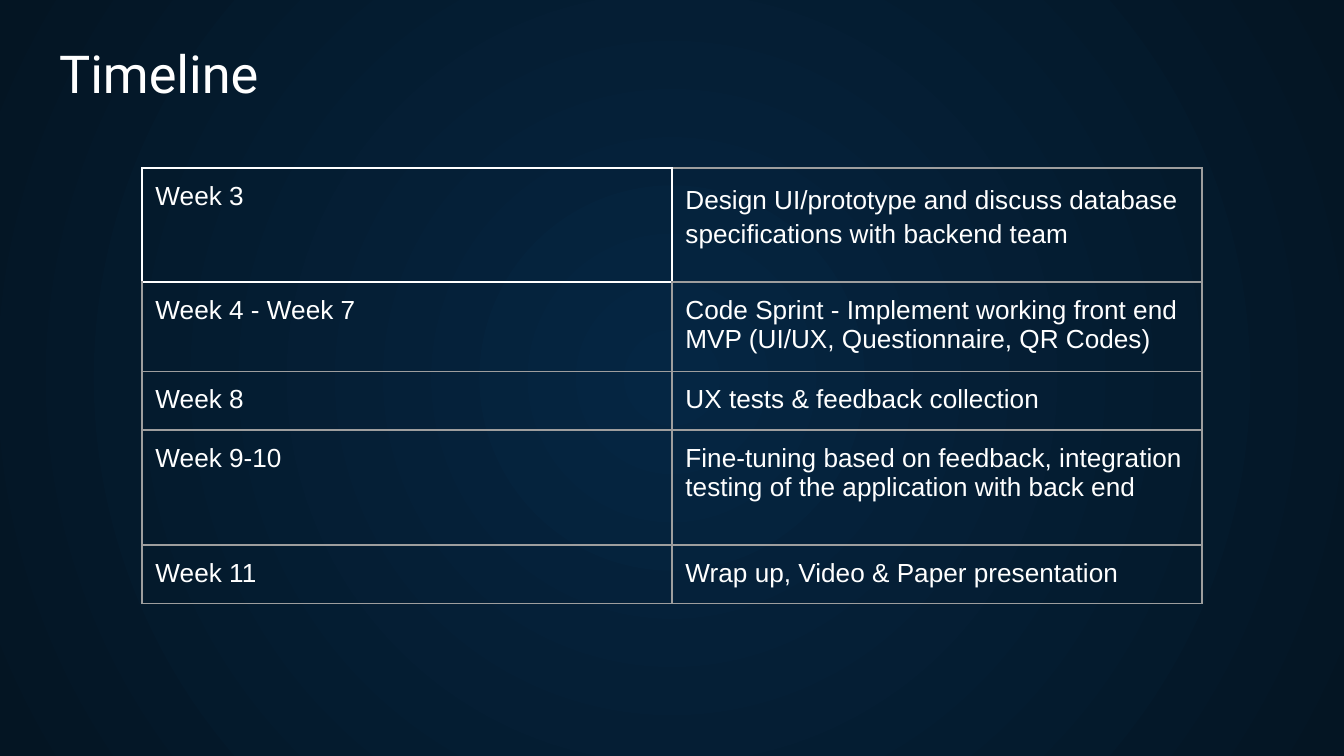
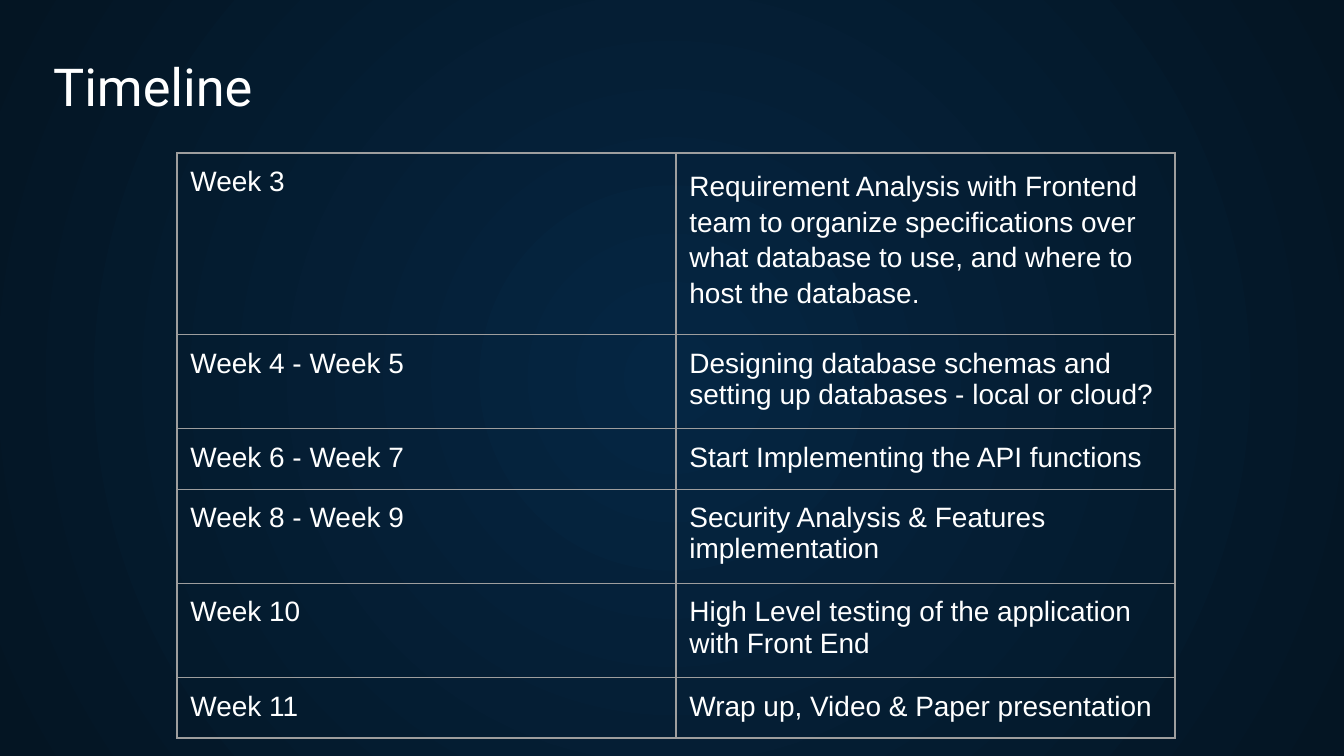
from lxml import etree
from pptx import Presentation
from pptx.dml.color import RGBColor
from pptx.enum.text import MSO_ANCHOR
from pptx.oxml.ns import qn
from pptx.util import Emu, Pt

PX = 914400 / 134.4  # EMU in one px
WHITE = RGBColor(0xFF, 0xFF, 0xFF)
GREY = RGBColor(0x9E, 0x9E, 0x9E)
NAVY = RGBColor(0x05, 0x26, 0x43)
MIDNIGHT = RGBColor(0x04, 0x15, 0x23)

# Each slide: title corner, table corner, column width, text size, first cell's
# border, and rows of (height, weeks, task)
SLIDES = [
    dict(title_at=(46, 28), table_at=(142, 168), column=530, size=14, corner=WHITE, rows=[
        (114, "Week 3", "Design UI/prototype and discuss database specifications with backend team"),
        (86, "Week 4 - Week 7",
         "Code Sprint - Implement working front end MVP (UI/UX, Questionnaire, QR Codes)"),
        (56, "Week 8", "UX tests & feedback collection"),
        (115, "Week 9-10",
         "Fine-tuning based on feedback, integration testing of the application with back end"),
        (56, "Week 11", "Wrap up, Video & Paper presentation"),
    ]),
    dict(title_at=(40, 41), table_at=(177, 153), column=499, size=15, corner=GREY, rows=[
        (170, "Week 3", "Requirement Analysis with Frontend team to organize specifications over "
                        "what database to use, and where to host the database."),
        (89, "Week 4 - Week 5", "Designing database schemas and setting up databases - local or cloud?"),
        (58, "Week 6 - Week 7", "Start Implementing the API functions"),
        (89, "Week 8 - Week 9", "Security Analysis & Features implementation"),
        (89, "Week 10", "High Level testing of the application with Front End"),
        (58, "Week 11", "Wrap up, Video & Paper presentation"),
    ]),
]


def px(*lengths):
    return [Emu(round(length * PX)) for length in lengths]


def write(holder, text, size, font="Arial", color=WHITE, spacing=None, after=None):
    """Put one formatted paragraph into a text frame or a table cell."""
    holder.margin_left, holder.margin_top, holder.margin_right, holder.margin_bottom = px(13.44, 13.44, 13.44, 13.44)
    holder.vertical_anchor = MSO_ANCHOR.TOP
    holder.word_wrap = True
    frame = getattr(holder, "text_frame", holder)
    para = frame.paragraphs[0]
    para.line_spacing = spacing
    para.space_after = after
    span = para.add_run()
    span.text = text
    span.font.size = Pt(size)
    span.font.name = font
    span.font.color.rgb = color


deck = Presentation()
deck.slide_width, deck.slide_height = px(1344, 756)

for content in SLIDES:
    page = deck.slides.add_slide(deck.slide_layouts[6])

    # Background: circular gradient from the centre
    fill = page.background.fill
    fill.gradient()
    for stop, color in zip(fill.gradient_stops, (NAVY, MIDNIGHT)):
        stop.color.rgb = color
    linear = next(page.element.iter(qn("a:lin")))
    circle = etree.Element(qn("a:path"), {"path": "circle"})
    etree.SubElement(circle, qn("a:fillToRect"), {side: "50000" for side in "ltrb"})
    linear.getparent().replace(linear, circle)

    # Title
    box = page.shapes.add_textbox(*px(*content["title_at"], 1253, 85))
    write(box.text_frame, "Timeline", 28, font="Roboto")

    # Table
    rows = content["rows"]
    height = sum(row[0] for row in rows)
    table = page.shapes.add_table(
        len(rows), 2, *px(*content["table_at"], 2 * content["column"], height)).table
    table.first_row = table.horz_banding = False
    for column in table.columns:
        column.width, = px(content["column"])

    for i, (row_height, *texts) in enumerate(rows):
        table.rows[i].height, = px(row_height)
        for j, text in enumerate(texts):
            cell = table.cell(i, j)
            detail = dict(spacing=1.15, after=Pt(12)) if (i, j) == (0, 1) else {}
            write(cell, text, content["size"], **detail)
            cell.fill.background()

            # Borders: the first cell shares its colour with its neighbours' edges
            cornered = {(0, 0): "LRTB", (0, 1): "L", (1, 0): "T"}.get((i, j), "")
            properties = cell._tc.get_or_add_tcPr()
            for k, side in enumerate("LRTB"):
                line = etree.Element(qn("a:ln" + side), {"w": str(Pt(0.75))})
                solid = etree.SubElement(line, qn("a:solidFill"))
                color = content["corner"] if side in cornered else GREY
                etree.SubElement(solid, qn("a:srgbClr"), {"val": str(color)})
                properties.insert(k, line)

deck.save("out.pptx")
